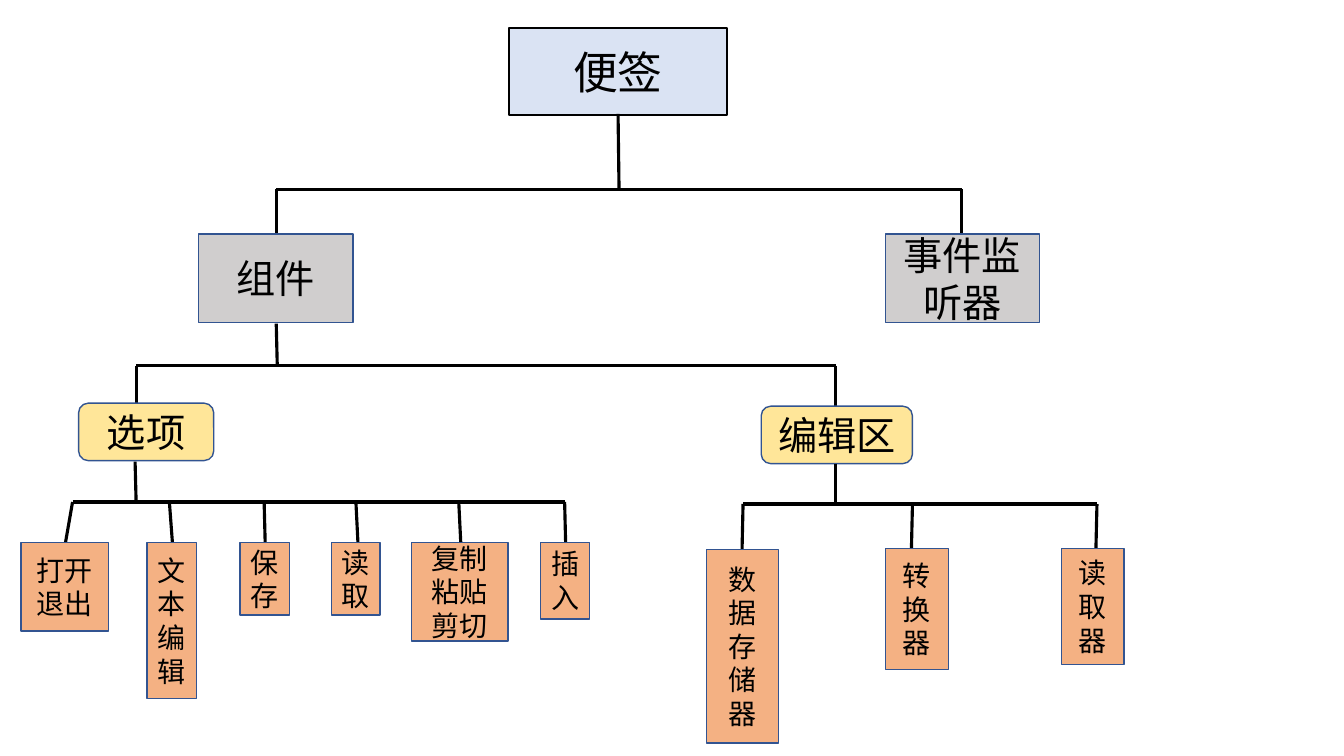
import pptx
import pptx.util
import pptx.dml.color
import pptx.enum.shapes
import pptx.enum.text
import pptx.oxml.ns
import lxml.etree

Inches, Pt = pptx.util.Inches, pptx.util.Pt
RGB = pptx.dml.color.RGBColor
SHAPE = pptx.enum.shapes.MSO_SHAPE

FONT = "Noto Sans CJK SC"
BLACK = RGB(0x00, 0x00, 0x00)
BLUE = RGB(0x32, 0x54, 0x91)
PALE = RGB(0xDA, 0xE3, 0xF3)
GREY = RGB(0xD0, 0xCE, 0xCE)
YELLOW = RGB(0xFF, 0xE6, 0x99)
ORANGE = RGB(0xF4, 0xB1, 0x83)

# level: shape, fill, line colour, text size
LEVELS = {
    "root": (SHAPE.RECTANGLE, PALE, BLACK, 32),
    "part": (SHAPE.RECTANGLE, GREY, BLUE, 28),
    "group": (SHAPE.ROUNDED_RECTANGLE, YELLOW, BLUE, 28),
    "leaf": (SHAPE.RECTANGLE, ORANGE, BLUE, 20),
}

ROOT = ("便签", (5.05, 0.28, 2.16, 0.86))

# level, stem (top x, top y, foot x), rail y,
# children: text, box (left, top, width, height), drop (top x, foot x)
BRANCHES = [
    ("part", (6.13, 1.13, 6.14), 1.88, [
        ("组件", (1.97, 2.32, 1.53, 0.88), (2.74, 2.74)),
        ("事件监听器", (8.78, 2.32, 1.53, 0.88), (9.54, 9.54)),
    ]),
    ("group", (2.74, 3.21, 2.75), 3.63, [
        ("选项", (0.78, 4.0, 1.34, 0.57), (1.35, 1.35)),
        ("编辑区", (7.55, 4.03, 1.5, 0.57), (8.29, 8.29)),
    ]),
    ("leaf", (1.34, 4.58, 1.35), 4.98, [
        ("打开退出", (0.21, 5.38, 0.87, 0.88), (0.72, 0.65)),
        ("文本编辑", (1.46, 5.38, 0.49, 1.55), (1.68, 1.71)),
        ("保存", (2.38, 5.38, 0.49, 0.72), (2.62, 2.63)),
        ("读取", (3.29, 5.38, 0.48, 0.72), (3.53, 3.55)),
        ("复制粘贴剪切", (4.08, 5.38, 0.96, 0.98), (4.55, 4.57)),
        ("插入", (5.36, 5.38, 0.49, 0.76), (5.6, 5.61)),
    ]),
    ("leaf", (8.29, 4.6, 8.29), 5.0, [
        ("数据存储器", (7.01, 5.45, 0.71, 1.92), (7.37, 7.36)),
        ("转换器", (8.78, 5.44, 0.63, 1.2), (9.05, 9.04)),
        ("读取器", (10.53, 5.44, 0.62, 1.15), (10.88, 10.87)),
    ]),
]


def add_line(slide, *ends):
    """Draw a plain black line from x1, y1 to x2, y2."""
    line = slide.shapes.add_connector(
        pptx.enum.shapes.MSO_CONNECTOR.STRAIGHT, *map(Inches, ends))
    line.line.color.rgb = BLACK
    line.line.width = Pt(2.25)
    props = line._element.spPr
    lxml.etree.SubElement(props, pptx.oxml.ns.qn("a:effectLst"))


def add_box(slide, level, text, box):
    """Draw a box in the style of its level, with centred text."""
    kind, fill, edge, size = LEVELS[level]
    shape = slide.shapes.add_shape(kind, *map(Inches, box))
    shape.shadow.inherit = False
    shape.fill.solid()
    shape.fill.fore_color.rgb = fill
    shape.line.color.rgb = edge
    shape.line.width = Pt(1)
    frame = shape.text_frame
    frame.word_wrap = True
    frame.vertical_anchor = pptx.enum.text.MSO_ANCHOR.MIDDLE
    para = frame.paragraphs[0]
    para.text = text
    para.alignment = pptx.enum.text.PP_ALIGN.CENTER
    font = para.font
    font.size = Pt(size)
    font.color.rgb = BLACK
    font.name = FONT
    lxml.etree.SubElement(
        font._element, pptx.oxml.ns.qn("a:ea"), typeface=FONT)


def add_branch(slide, level, stem, rail, nodes):
    """Draw a stem, its rail, and a drop to each child box."""
    left, top, foot = stem
    add_line(slide, left, top, foot, rail)
    add_line(slide, nodes[0][2][0], rail, nodes[-1][2][0], rail)
    for text, box, (start, end) in nodes:
        add_line(slide, start, rail, end, box[1])
        add_box(slide, level, text, box)


deck = pptx.Presentation()
deck.slide_width, deck.slide_height = Inches(13.33), Inches(7.5)
slide = deck.slides.add_slide(deck.slide_layouts[6])
add_box(slide, "root", *ROOT)
for branch in BRANCHES:
    add_branch(slide, *branch)
deck.save("out.pptx")
